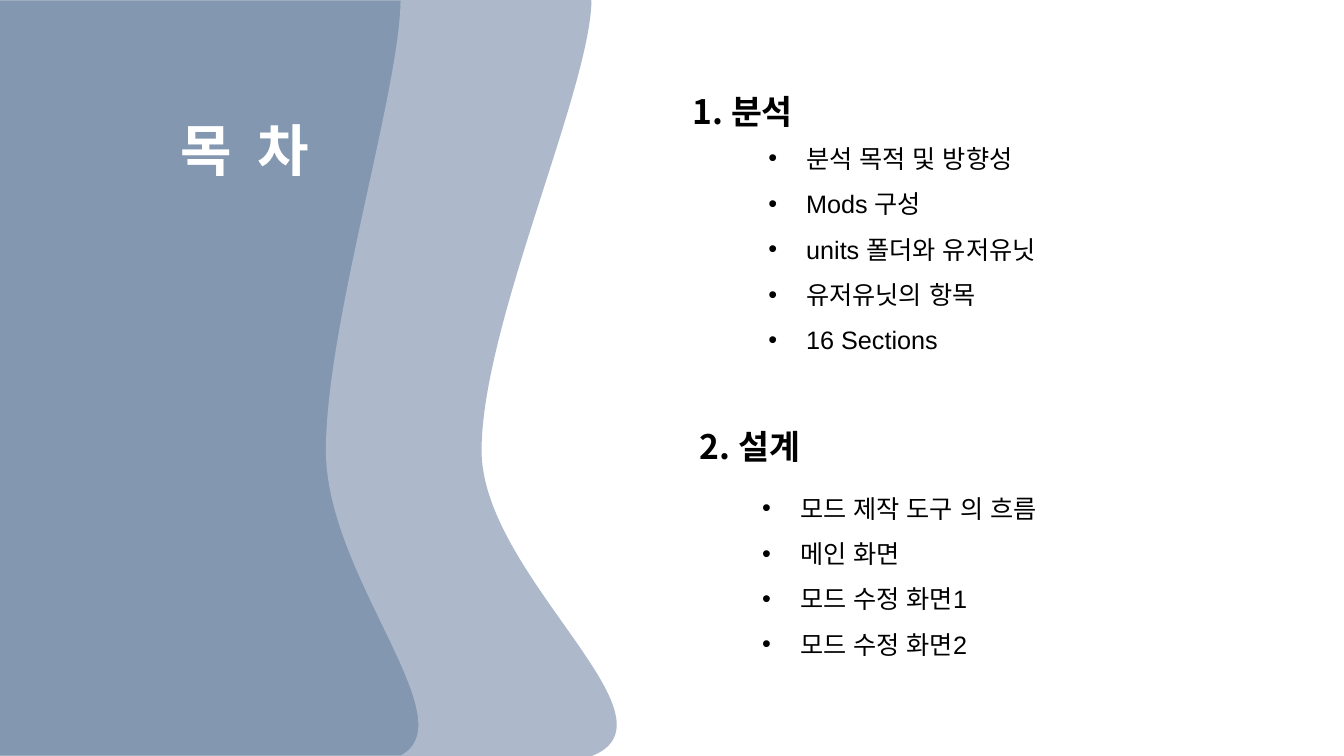
import dataclasses

import lxml.etree
import pptx
import pptx.dml.color
import pptx.enum.text
import pptx.oxml.ns
import pptx.util
from pptx.util import Inches

RGB = pptx.dml.color.RGBColor.from_string
ALIGN = pptx.enum.text.PP_ALIGN
qn = pptx.oxml.ns.qn


@dataclasses.dataclass(frozen=True)
class Theme:
    front_wave: str = "8497B0"
    back_wave: str = "ADB9CA"
    title_color: str = "FFFFFF"
    text_color: str = "000000"
    heading_font: str = "Noto Sans CJK KR"
    list_font: str = "Arial"
    title_size: int = 40
    heading_size: int = 24
    list_size: int = 18


THEME = Theme()
COMPARISON_LAYOUT = 4
WAVE_LEFT = -0.09
SLIDE_HEIGHT = 7.5
LIST_INDENT = pptx.util.Pt(27)

# Each wave edge: top corner, curve start, then control, control and end of two curves
BACK_EDGE = [(5.85, 0), (5.86, 0.01), (5.84, 0.91), (4.77, 3.23), (4.77, 4.47),
             (4.77, 5.72), (6.82, 7.15), (5.85, SLIDE_HEIGHT)]
FRONT_EDGE = [(3.98, 0), (3.98, 0.01), (3.97, 0.91), (3.24, 3.23), (3.24, 4.47),
              (3.24, 5.72), (4.64, 7.15), (3.98, SLIDE_HEIGHT)]

ANALYSIS = ["분석 목적 및 방향성", "Mods 구성", "units 폴더와 유저유닛",
            "유저유닛의 항목", "16 Sections"]
DESIGN = ["모드 제작 도구 의 흐름", "메인 화면", "모드 수정 화면1", "모드 수정 화면2"]


def curve_edge(wave, width):
    """Turn the edge's control points into two curves and fit the frame to them."""
    outline = next(wave.element.iter(qn("a:path")))
    segments = outline.findall(qn("a:lnTo"))
    for first in (2, 5):
        curve = lxml.etree.Element(qn("a:cubicBezTo"))
        segments[first].addprevious(curve)
        for segment in segments[first:first + 3]:
            curve.append(segment[0])
            outline.remove(segment)
    wave.width = Inches(width)
    outline.set("w", str(wave.width))


def add_wave(slide, edge, width, fill):
    """Fill the area from the left side of the slide to a curved edge."""
    corners = [*edge, (WAVE_LEFT, SLIDE_HEIGHT)]
    builder = slide.shapes.build_freeform(Inches(WAVE_LEFT), 0)
    builder.add_line_segments([(Inches(x), Inches(y)) for x, y in corners], close=True)
    wave = builder.convert_to_shape()
    curve_edge(wave, width)
    wave.shadow.inherit = False
    wave.fill.solid()
    wave.fill.fore_color.rgb = RGB(fill)
    wave.line.color.rgb = RGB(THEME.back_wave)
    wave.line.width = pptx.util.Pt(1)


def set_font(paragraph, name):
    """Use one font for both Latin and Korean letters."""
    paragraph.font.name = name
    defaults = paragraph._p.get_or_add_pPr().find(qn("a:defRPr"))
    lxml.etree.SubElement(defaults, qn("a:ea")).set("typeface", name)


def fill_placeholder(shape, box, lines, font, size, color, bold=False,
                     alignment=ALIGN.LEFT, line_spacing=1.0):
    shape.left, shape.top, shape.width, shape.height = map(Inches, box)
    frame = shape.text_frame
    frame.text = "\n".join(lines)
    frame.word_wrap = True
    frame.auto_size = pptx.enum.text.MSO_AUTO_SIZE.NONE
    frame.vertical_anchor = pptx.enum.text.MSO_ANCHOR.TOP
    for paragraph in frame.paragraphs:
        paragraph.alignment = alignment
        paragraph.line_spacing = line_spacing
        paragraph.space_before = pptx.util.Pt(0)
        paragraph.font.size = pptx.util.Pt(size)
        paragraph.font.bold = bold
        paragraph.font.color.rgb = RGB(color)
        set_font(paragraph, font)


def fill_heading(shape, left, top, text):
    fill_placeholder(shape, (left, top, 1.28, 0.5), [text], THEME.heading_font,
                     THEME.heading_size, THEME.text_color, bold=True)


def fill_list(shape, box, items):
    fill_placeholder(shape, box, items, THEME.list_font, THEME.list_size,
                     THEME.text_color, line_spacing=1.5)
    for paragraph in shape.text_frame.paragraphs:
        properties = paragraph._p.get_or_add_pPr()
        properties.set("marL", str(LIST_INDENT))
        properties.set("indent", str(-LIST_INDENT))


def main():
    presentation = pptx.Presentation()
    presentation.slide_width = Inches(13.33)
    presentation.slide_height = Inches(SLIDE_HEIGHT)
    slide = presentation.slides.add_slide(presentation.slide_layouts[COMPARISON_LAYOUT])
    title, heading_1, list_1, heading_2, list_2 = slide.placeholders

    add_wave(slide, BACK_EDGE, 6.2, THEME.back_wave)
    add_wave(slide, FRONT_EDGE, 4.24, THEME.front_wave)

    fill_placeholder(title, (1.19, 1.1, 2.48, 0.77), ["목  차"], THEME.heading_font,
                     THEME.title_size, THEME.title_color, bold=True,
                     alignment=ALIGN.CENTER)
    slide.shapes.element.append(title.element)  # bring the title in front of the waves

    fill_heading(heading_1, 6.77, 0.85, "1. 분석")
    fill_list(list_1, (7.52, 1.22, 3.16, 2.37), ANALYSIS)
    fill_heading(heading_2, 6.84, 4.18, "2. 설계")
    fill_list(list_2, (7.46, 4.69, 3.3, 1.86), DESIGN)

    presentation.save("out.pptx")


if __name__ == "__main__":
    main()
